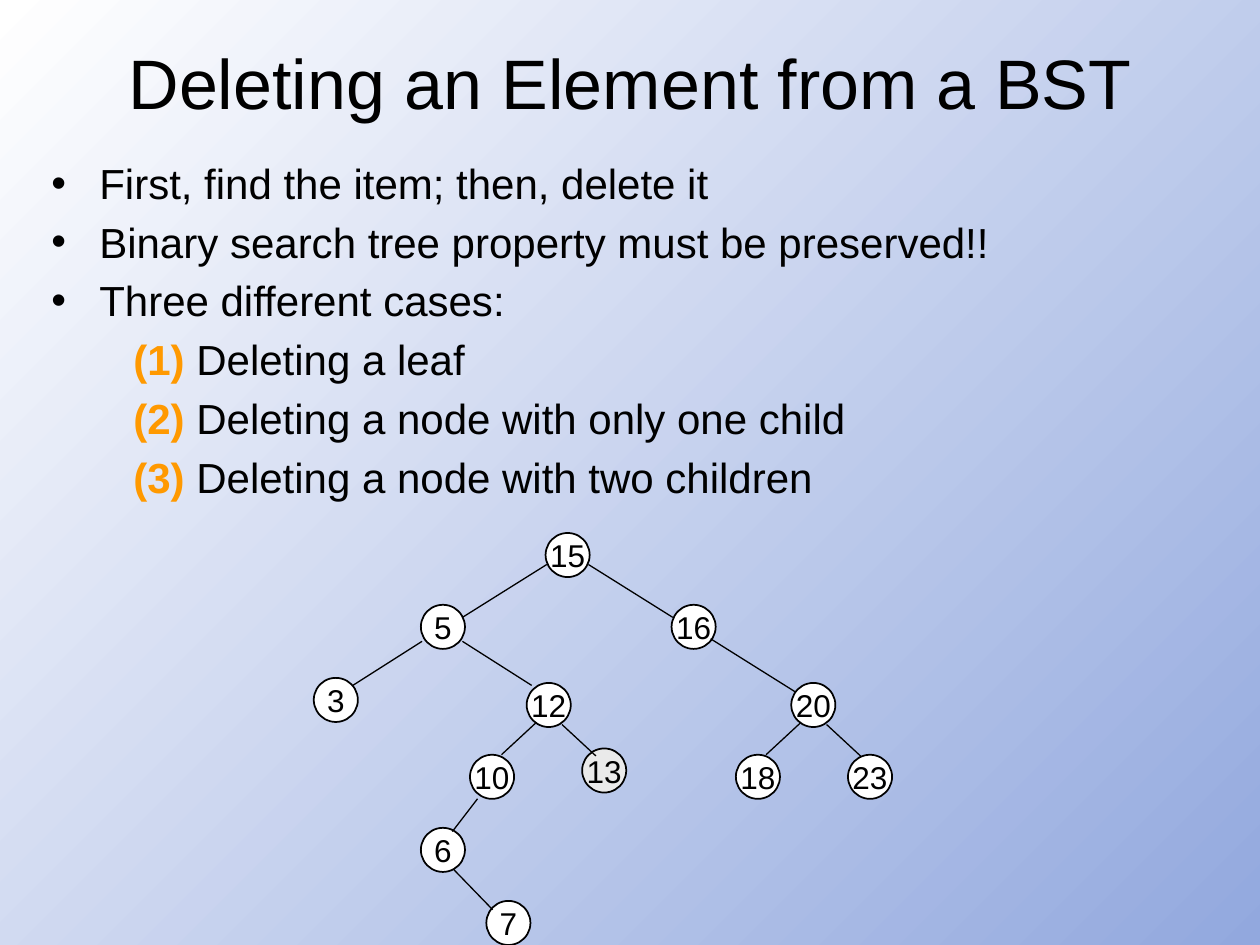
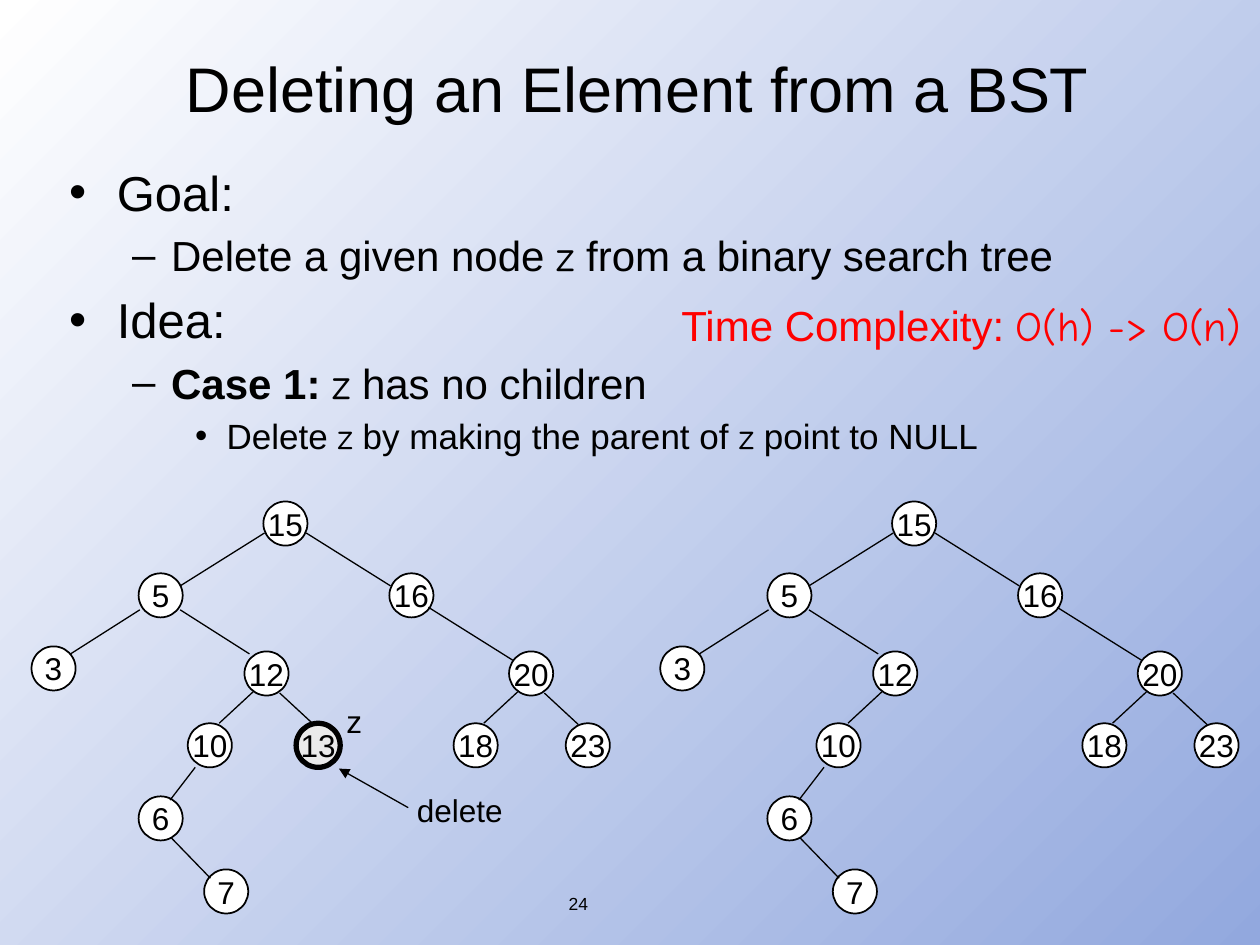
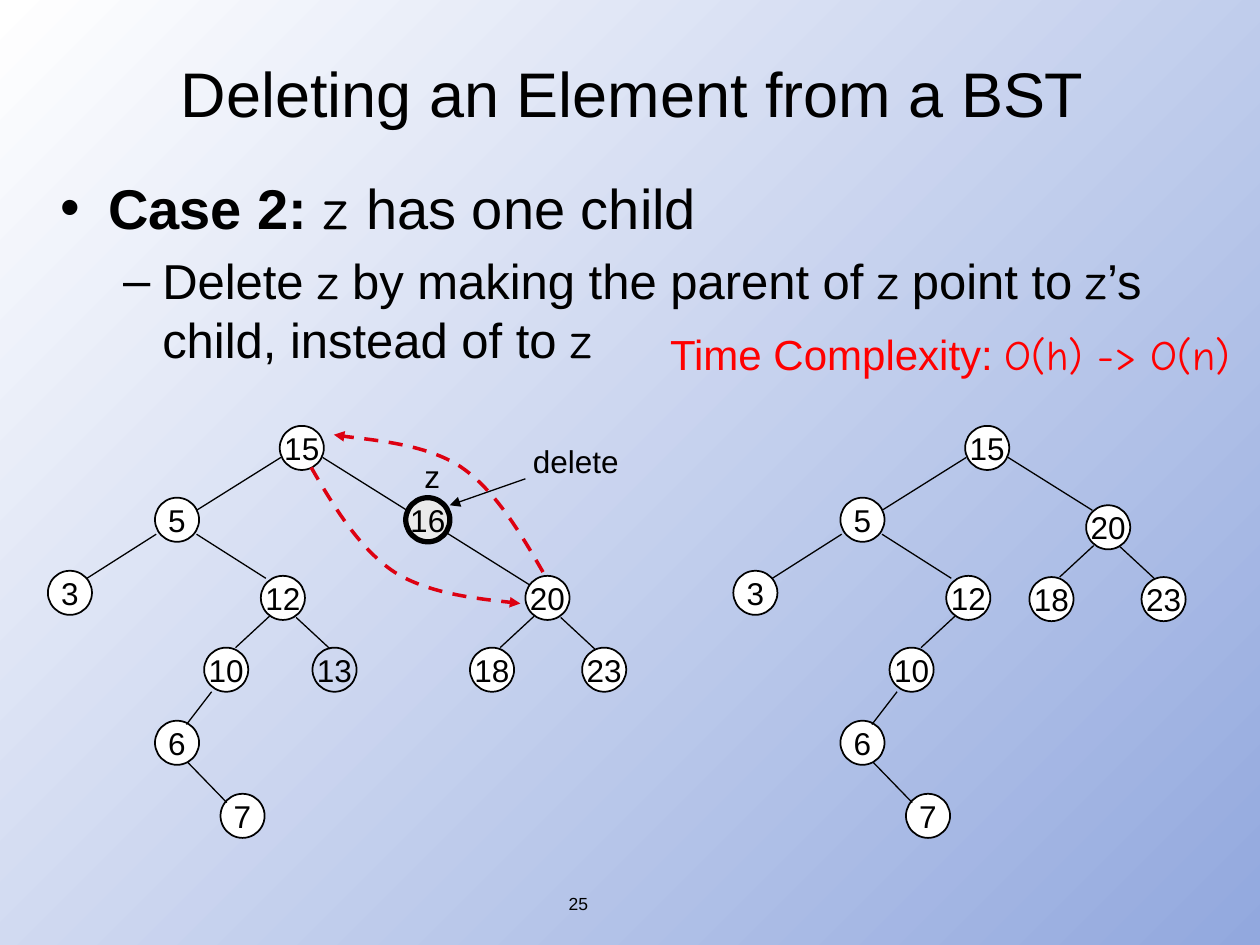
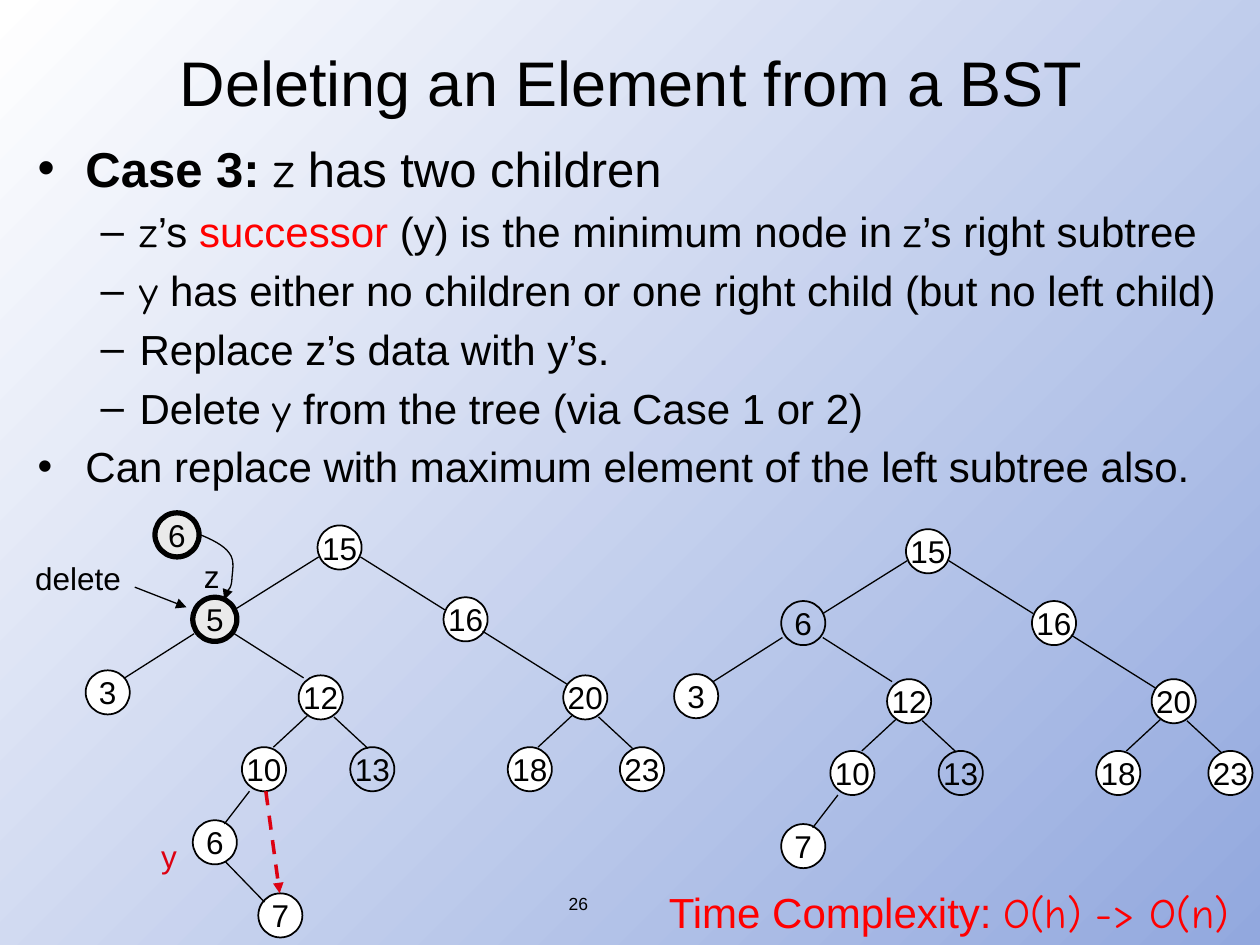
from collections import namedtuple
from dataclasses import dataclass

from lxml import etree
from pptx import Presentation
from pptx import util as u
from pptx.dml import color
from pptx.enum import dml, shapes, text
from pptx.oxml import ns


@dataclass(frozen=True)
class Theme:
    ink: str = "000000"
    paper: str = "FFFFFF"
    sky: str = "92A8DE"
    marked: str = "EAEAEA"
    alert: str = "FF0000"
    route: str = "DD0111"
    case: str = "FF9900"
    font: str = "Arial"
    code_font: str = "Comic Neue"
    title: int = 36
    body: int = 24
    node: int = 18
    footer: int = 10
    edge: float = 0.75
    outline: float = 1
    thick: float = 3
    route_width: float = 2


THEME = Theme()
TITLE = "Deleting an Element from a BST"
DIAMETER = 0.35

Level = namedtuple("Level", "margin indent bullet")
LEVELS = {
    "top": Level(0.38, -0.38, "•"),
    "sub": Level(0.81, -0.31, "–"),
    "detail": Level(1.25, -0.25, "•"),
    "case": Level(0.65, 0, None),
}

RUN_STYLES = {
    "plain": {},
    "bold": {"bold": True},
    "code": {"font": THEME.code_font},
    "alert": {"ink": THEME.alert},
    "alert code": {"ink": THEME.alert, "font": THEME.code_font},
    "case": {"ink": THEME.case, "bold": True},
}
Z = ("z", "code")
Y = ("y", "code")

NODE_LOOKS = {
    "plain": (THEME.paper, THEME.outline),
    "grey": (THEME.marked, THEME.outline),
    "marked": (THEME.marked, THEME.thick),
    "hollow": (None, THEME.outline),
}

# Offsets in inches from the top left of the root node.
Slot = namedtuple("Slot", "at start end")
SLOTS = {
    15: Slot((0, 0), None, None),
    16: Slot((1, 0.57), (0.34, 0.25), (1.01, 0.67)),
    20: Slot((1.95, 1.19), (1.31, 0.84), (1.98, 1.26)),
    18: Slot((1.51, 1.76), (2.02, 1.51), (1.75, 1.76)),
    23: Slot((2.4, 1.76), (2.23, 1.52), (2.5, 1.77)),
    5: Slot((-0.99, 0.57), (0.01, 0.25), (-0.66, 0.67)),
    3: Slot((-1.84, 1.15), (-0.98, 0.86), (-1.53, 1.21)),
    12: Slot((-0.15, 1.19), (-0.66, 0.86), (-0.11, 1.21)),
    10: Slot((-0.6, 1.76), (-0.08, 1.51), (-0.35, 1.76)),
    13: Slot((0.26, 1.76), (0.13, 1.52), (0.4, 1.77)),
    6: Slot((-0.99, 2.34), (-0.54, 2.11), (-0.74, 2.37)),
    7: Slot((-0.47, 2.92), (-0.73, 2.67), (-0.42, 2.99)),
}


def shifted(point, *offsets):
    return tuple(sum(values) for values in zip(point, *offsets))


def inches(*values):
    return [u.Inches(value) for value in values]


def rgb(value):
    return color.RGBColor.from_string(value)


class Deck:
    def __init__(self, theme):
        self.theme = theme
        self.prs = Presentation()
        self.prs.slide_width, self.prs.slide_height = inches(10, 7.5)
        self.slide = None
        backdrop = self.prs.slide_master.background.fill
        backdrop.gradient()
        backdrop.gradient_angle = 315
        for stop, shade in zip(backdrop.gradient_stops, (theme.paper, theme.sky)):
            stop.color.rgb = rgb(shade)

    def new_slide(self, box, number=None, size=None):
        self.slide = self.prs.slides.add_slide(self.prs.slide_layouts[5])
        title = self.slide.shapes.title
        title.left, title.top, title.width, title.height = inches(*box)
        frame = title.text_frame
        frame.text = TITLE
        frame.word_wrap = True
        frame.auto_size = text.MSO_AUTO_SIZE.NONE
        frame.vertical_anchor = text.MSO_ANCHOR.MIDDLE
        self.format(frame.paragraphs[0], size or self.theme.title, centred=True)
        if number:
            footer = self.text_box((1.54, 7.04, 6.1, 0.46))
            footer.text = number
            self.format(footer.paragraphs[0], self.theme.footer, centred=True)

    def style_run(self, run, size, ink=None, font=None, bold=False):
        run.font.size = u.Pt(size)
        run.font.name = font or self.theme.font
        run.font.bold = bold
        run.font.color.rgb = rgb(ink or self.theme.ink)

    def format(self, paragraph, size, ink=None, centred=False):
        if centred:
            paragraph.alignment = text.PP_ALIGN.CENTER
        for run in paragraph.runs:
            self.style_run(run, size, ink)

    def text_box(self, box, wrap=True):
        frame = self.slide.shapes.add_textbox(*inches(*box)).text_frame
        frame.word_wrap = wrap
        return frame

    def write_runs(self, paragraph, parts, size):
        for part in parts:
            words, style = (part, "plain") if isinstance(part, str) else part
            run = paragraph.add_run()
            run.text = words
            self.style_run(run, size, **RUN_STYLES[style])

    def set_level(self, paragraph, level):
        props = paragraph._p.get_or_add_pPr()
        props.set("marL", str(u.Inches(level.margin)))
        props.set("indent", str(u.Inches(level.indent)))
        before = etree.SubElement(props, ns.qn("a:spcBef"))
        etree.SubElement(before, ns.qn("a:spcPct"), val="20000")
        if level.bullet:
            etree.SubElement(props, ns.qn("a:buFont"), typeface=self.theme.font)
            etree.SubElement(props, ns.qn("a:buChar"), char=level.bullet)
        else:
            etree.SubElement(props, ns.qn("a:buNone"))

    def body(self, box, lines):
        frame = self.text_box(box)
        for index, (level, size, *parts) in enumerate(lines):
            paragraph = frame.add_paragraph() if index else frame.paragraphs[0]
            self.set_level(paragraph, LEVELS[level])
            self.write_runs(paragraph, parts, size)

    def label(self, words, left, top, width=0.33, ink=None):
        frame = self.text_box((left, top, width, 0.4), wrap=False)
        frame.text = words
        self.format(frame.paragraphs[0], self.theme.node, ink)

    def complexity(self, left, top):
        frame = self.text_box((left, top, 4.67, 0.5))
        parts = [("Time Complexity: ", "alert"), ("O(h) -> O(n)", "alert code")]
        self.write_runs(frame.paragraphs[0], parts, self.theme.body)

    def style_line(self, line, width, ink=None, dashed=False):
        line.width = u.Pt(width)
        line.color.rgb = rgb(ink or self.theme.ink)
        if dashed:
            line.dash_style = dml.MSO_LINE.DASH

    def add_arrowhead(self, stroke):
        outline = next(stroke.element.iter(ns.qn("a:ln")))
        etree.SubElement(outline, ns.qn("a:tailEnd"), type="triangle")

    def node(self, value, at, look="plain", canvas=None):
        canvas = canvas or self.slide.shapes
        circle = canvas.add_shape(
            shapes.MSO_SHAPE.OVAL, *inches(*at, DIAMETER, DIAMETER))
        fill, width = NODE_LOOKS[look]
        circle.shadow.inherit = False
        if fill:
            circle.fill.solid()
            circle.fill.fore_color.rgb = rgb(fill)
        else:
            circle.fill.background()
        self.style_line(circle.line, width)
        frame = circle.text_frame
        frame.text = str(value)
        frame.word_wrap = False
        frame.vertical_anchor = text.MSO_ANCHOR.MIDDLE
        self.format(frame.paragraphs[0], self.theme.node, centred=True)

    def line(self, start, end, canvas=None, arrow=False, route=False):
        canvas = canvas or self.slide.shapes
        edge = canvas.add_connector(
            shapes.MSO_CONNECTOR.STRAIGHT, *inches(*start, *end))
        self.style_stroke(edge, arrow, route)
        etree.SubElement(edge.element.spPr, ns.qn("a:effectLst"))

    def style_stroke(self, stroke, arrow, route):
        if route:
            self.style_line(
                stroke.line, self.theme.route_width, self.theme.route, dashed=True)
        else:
            self.style_line(stroke.line, self.theme.edge)
        if arrow:
            self.add_arrowhead(stroke)

    def curve(self, start, controls, route=False):
        builder = self.slide.shapes.build_freeform(*inches(*start))
        builder.add_line_segments([inches(*point) for point in controls], close=False)
        bend = builder.convert_to_shape()
        segments = list(bend.element.iter(ns.qn("a:lnTo")))
        for index in range(0, len(segments), 3):
            trio = segments[index:index + 3]
            bezier = etree.Element(ns.qn("a:cubicBezTo"))
            trio[0].addprevious(bezier)
            for segment in trio:
                bezier.append(segment[0])
                segment.getparent().remove(segment)
        bend.shadow.inherit = False
        bend.fill.background()
        self.style_stroke(bend, True, route)

    def tree(self, root, drop=(), relabel={}, looks={}, moves={}, nudges={}):
        canvas = self.slide.shapes.add_group_shape().shapes
        still = (0, 0)
        kept = {key: slot for key, slot in SLOTS.items() if key not in drop}
        for key, slot in kept.items():
            at = shifted(slot.at, root, moves.get(key, still), nudges.get(key, still))
            self.node(relabel.get(key, key), at, looks.get(key, "plain"), canvas)
        for key, slot in kept.items():
            if slot.start:
                move = moves.get(key, still)
                self.line(shifted(slot.start, root, move),
                          shifted(slot.end, root, move), canvas)


def overview(deck):
    deck.new_slide((0.75, 0.11, 8.5, 1.08), size=40)
    bullets = [
        "First, find the item; then, delete it",
        "Binary search tree property must be preserved!!",
        "Three different cases:",
    ]
    cases = ["a leaf", "a node with only one child", "a node with two children"]
    size = deck.theme.body
    deck.body((0.31, 1.2, 9.38, 4.67), [("top", size, line) for line in bullets] + [
        ("case", size, (f"({number})", "case"), f" Deleting {target}")
        for number, target in enumerate(cases, 1)
    ])
    deck.tree((4.33, 4.23), looks={13: "grey"}, nudges={13: (0.03, -0.05)})


def no_children(deck):
    deck.new_slide((0.56, 0.29, 9, 0.81), "24")
    deck.body((0.45, 1.24, 9.13, 2.52), [
        ("top", 28, "Goal:"),
        ("sub", 24, "Delete a given node ", Z, " from a binary search tree"),
        ("top", 28, "Idea:"),
        ("sub", 24, ("Case 1: ", "bold"), Z, " has no children"),
        ("detail", 20, "Delete ", Z, " by making the parent of ", Z, " point to NULL"),
    ])
    deck.tree((2.09, 3.98), looks={13: "marked"})
    deck.label("delete", 3.21, 6.23, 0.88)
    deck.line((3.24, 6.41), (2.69, 6.1), arrow=True)
    deck.tree((7.08, 3.98), drop=(13,))
    deck.label("z", 2.65, 5.52)
    deck.complexity(5.31, 2.33)


def one_child(deck):
    deck.new_slide((0.52, 0.11, 9, 1.25), "25")
    deck.body((0.38, 1.33, 9, 2.12), [
        ("top", 32, ("Case 2: ", "bold"), ("z ", "code"), "has one child"),
        ("sub", 28, "Delete ", Z, " by making the parent of ", Z, " point to ", Z,
         "’s child, instead of to ", Z),
    ])
    deck.tree((2.22, 3.38), looks={16: "marked", 13: "hollow"})
    deck.label("delete", 4.13, 3.46, 0.88)
    deck.line((4.17, 3.8), (3.57, 4.01), arrow=True)
    lifted = (-1, -0.56)
    deck.tree((7.66, 3.38), drop=(13, 20), relabel={16: 20},
              moves={18: lifted, 23: lifted}, nudges={16: (-0.04, 0.06)})
    deck.curve((2.47, 3.71), [(2.66, 4.04), (2.86, 4.36), (3.13, 4.54),
                              (3.41, 4.72), (3.97, 4.77), (4.13, 4.79)], route=True)
    deck.label("z", 3.27, 3.58)
    deck.curve((4.31, 4.54), [(4.12, 4.21), (3.92, 3.88), (3.65, 3.7),
                              (3.37, 3.52), (2.81, 3.48), (2.65, 3.45)], route=True)
    deck.complexity(5.22, 2.56)


def two_children(deck):
    deck.new_slide((0.51, 0.02, 9, 1.25), "26")
    deck.body((0.2, 1.05, 9.61, 3.06), [
        ("top", 28, ("Case 3: ", "bold"), Z, " has two children"),
        ("sub", 24, Z, "’s ", ("successor", "alert"),
         " (y) is the minimum node in ", Z, "’s right subtree"),
        ("sub", 24, Y, " has either no children or one right child (but no left child)"),
        ("sub", 24, "Replace z’s data with y’s."),
        ("sub", 24, "Delete ", Y, " from the tree (via Case 1 or 2)"),
        ("top", 24, "Can replace with maximum element of the left subtree also."),
    ])
    deck.tree((2.52, 4.17), looks={5: "marked", 13: "hollow"})
    deck.label("delete", 0.18, 4.39, 0.88)
    deck.label("z", 1.52, 4.37)
    deck.line((1.07, 4.66), (1.48, 4.82), arrow=True)
    deck.label("y", 1.18, 6.59, ink=deck.theme.route)
    deck.line((2.11, 6.28), (2.22, 7.09), arrow=True, route=True)
    deck.tree((7.19, 4.2), drop=(7,), relabel={5: 6, 6: 7},
              looks={5: "hollow", 13: "hollow"})
    deck.node(6, (1.23, 4.07), "marked")
    deck.curve((1.58, 4.24), [(1.68, 4.28), (1.78, 4.33), (1.82, 4.39),
                              (1.87, 4.45), (1.84, 4.55), (1.84, 4.61),
                              (1.83, 4.68), (1.75, 4.74), (1.78, 4.76)])
    deck.complexity(5.21, 6.99)


def main():
    deck = Deck(THEME)
    for build in (overview, no_children, one_child, two_children):
        build(deck)
    deck.prs.save("out.pptx")


if __name__ == "__main__":
    main()
